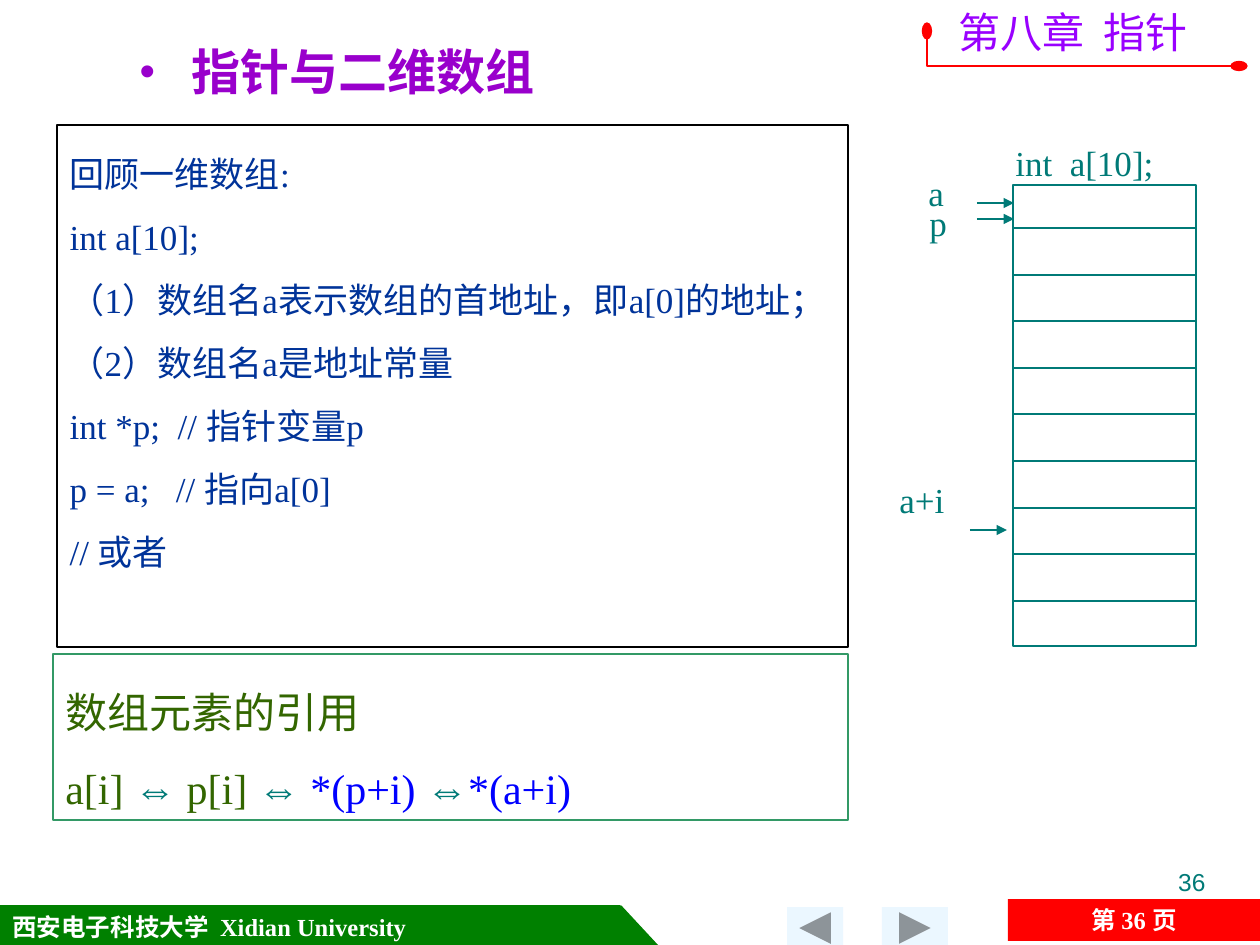
from lxml import etree
from pptx import Presentation
from pptx import util as u
from pptx.dml.color import RGBColor
from pptx.enum import shapes, text
from pptx.oxml.ns import qn

SCALE = 914400 / 126
WHITE = RGBColor(0xFF, 0xFF, 0xFF)
BLACK = RGBColor(0, 0, 0)
GREEN = RGBColor(0, 0x80, 0)
RED = RGBColor(0xFF, 0, 0)
TEAL = RGBColor(0, 0x7A, 0x77)
NAVY = RGBColor(0, 0x33, 0x99)
BLUE = RGBColor(0, 0, 0xFF)
OLIVE = RGBColor(0x33, 0x66, 0)
SEA_GREEN = RGBColor(0x33, 0x99, 0x66)
PURPLE = RGBColor(0x99, 0, 0xCC)
VIOLET = RGBColor(0x99, 0, 0xFF)
PALE_BLUE = RGBColor(0xEB, 0xF7, 0xFF)
SERIF = "Times New Roman"
SANS = "Arial"
CJK = "Noto Sans CJK SC"

REVIEW_LINES = [
    "回顾一维数组:",
    "int a[10];",
    "（1）数组名a表示数组的首地址，即a[0]的地址；",
    "（2）数组名a是地址常量",
    "int *p;  // 指针变量p",
    "p = a;   // 指向a[0]",
    "// 或者",
]
REFERENCE_RUNS = [
    ("a[i] ", OLIVE), ("⇔", TEAL), (" p[i] ", OLIVE), ("⇔ ", TEAL),
    ("*(p+i) ", BLUE), ("⇔", TEAL), ("*(a+i)", BLUE),
]


def px(value):
    return u.Emu(round(value * SCALE))


def place(shape, left, top, width, height):
    shape.left, shape.top = px(left), px(top)
    shape.width, shape.height = px(width), px(height)


def format_run(run, size, color, font=SERIF, bold=False):
    run.font.size = u.Pt(size)
    run.font.name = font
    run.font.bold = bold
    run.font.color.rgb = color


def add_runs(paragraph, parts, size, font=SERIF, bold=False):
    for words, color in parts:
        run = paragraph.add_run()
        run.text = words
        format_run(run, size, color, font, bold)


def set_bullet(paragraph, margin, indent, color=None):
    properties = paragraph._p.get_or_add_pPr()
    properties.set("marL", str(px(margin)))
    properties.set("indent", str(px(indent)))
    if color is None:
        etree.SubElement(properties, qn("a:buNone"))
        return
    bullet_color = etree.SubElement(properties, qn("a:buClr"))
    etree.SubElement(bullet_color, qn("a:srgbClr"), val=str(color))
    etree.SubElement(properties, qn("a:buSzPct"), val="90000")
    etree.SubElement(properties, qn("a:buFont"), typeface=SANS)
    etree.SubElement(properties, qn("a:buChar"), char="•")


def set_line_end(shape, end, kind, width="med", length="med"):
    line = shape.line._get_or_add_ln()
    etree.SubElement(line, qn(f"a:{end}End"), type=kind, w=width, len=length)


def add_box(slide, kind, box, fill=None, line=None, weight=0.75):
    shape = slide.shapes.add_shape(kind, *map(px, box))
    shape.shadow.inherit = False
    if fill is None:
        shape.fill.background()
    else:
        shape.fill.solid()
        shape.fill.fore_color.rgb = fill
    if line is None:
        shape.line.fill.background()
    else:
        shape.line.color.rgb = line
        shape.line.width = u.Pt(weight)
    return shape


def add_label(slide, box, words, size, color, font=SERIF, align=text.PP_ALIGN.LEFT):
    label = slide.shapes.add_textbox(*map(px, box))
    paragraph = label.text_frame.paragraphs[0]
    paragraph.alignment = align
    add_runs(paragraph, [(words, color)], size, font)
    return label


def add_line(slide, left, right, y, arrow=False):
    line = slide.shapes.add_connector(
        shapes.MSO_CONNECTOR.STRAIGHT, px(left), px(y), px(right), px(y))
    line.line.color.rgb = TEAL
    line.line.width = u.Pt(0.75)
    if arrow:
        set_line_end(line, "tail", "triangle")
    etree.SubElement(line._element.spPr, qn("a:effectLst"))


def add_footer(slide):
    kind = shapes.MSO_SHAPE
    banner = add_box(slide, kind.RECTANGLE, (0, 906, 620, 42), GREEN, GREEN)
    banner.text_frame.vertical_anchor = text.MSO_ANCHOR.MIDDLE
    school = banner.text_frame.paragraphs[0]
    school.alignment = text.PP_ALIGN.LEFT
    add_runs(school, [("西安电子科技大学  Xidian University", WHITE)], 14, bold=True)
    add_box(slide, kind.RIGHT_TRIANGLE, (621, 906, 39, 42), GREEN, GREEN)

    button = kind.ACTION_BUTTON_FORWARD_OR_NEXT
    add_box(slide, button, (882, 907, 66, 42), PALE_BLUE)
    add_box(slide, button, (787, 907, 56, 42), PALE_BLUE).rotation = 180

    page = add_box(slide, kind.RECTANGLE, (1008, 899, 252, 42), RED)
    page.text_frame.vertical_anchor = text.MSO_ANCHOR.MIDDLE
    paragraph = page.text_frame.paragraphs[0]
    paragraph.alignment = text.PP_ALIGN.CENTER
    for words, font in (("第 ", CJK), ("36 ", SERIF), ("页", CJK)):
        add_runs(paragraph, [(words, WHITE)], 14, font, True)
    add_label(slide, (903, 861, 315, 66), "36", 14, TEAL, SANS, text.PP_ALIGN.RIGHT)


def add_chapter(slide):
    add_label(slide, (946, 0, 277, 63), "第八章  指针", 24, VIOLET, CJK)
    builder = slide.shapes.build_freeform(927, 31, SCALE)
    builder.add_line_segments([(927, 66), (1239, 66)], close=False)
    corner = builder.convert_to_shape()
    corner.shadow.inherit = False
    corner.fill.background()
    corner.line.color.rgb = RED
    corner.line.width = u.Pt(1.5)
    for end in ("head", "tail"):
        set_line_end(corner, end, "oval", length="lg")


def fill_title(title):
    place(title, 64, 35, 903, 89)
    frame = title.text_frame
    frame.text = "指针与二维数组"
    frame.auto_size = text.MSO_AUTO_SIZE.NONE
    frame.vertical_anchor = text.MSO_ANCHOR.TOP
    paragraph = frame.paragraphs[0]
    paragraph.alignment = text.PP_ALIGN.LEFT
    set_bullet(paragraph, 115, -52, PURPLE)
    format_run(paragraph.runs[0], 28, PURPLE, SANS, True)


def fill_review(body):
    place(body, 57, 125, 791, 522)
    body.line.color.rgb = BLACK
    body.line.width = u.Pt(1)
    frame = body.text_frame
    frame.text = "\n".join(REVIEW_LINES)
    frame.auto_size = text.MSO_AUTO_SIZE.NONE
    for paragraph in frame.paragraphs:
        set_bullet(paragraph, 0, 0)
        paragraph.line_spacing = 1.5
        paragraph.space_before = u.Pt(0)
        format_run(paragraph.runs[0], 20, NAVY)


def add_reference(slide):
    box = add_box(slide, shapes.MSO_SHAPE.RECTANGLE, (53, 654, 795, 166),
                  WHITE, SEA_GREEN, 1.5)
    frame = box.text_frame
    frame.vertical_anchor = text.MSO_ANCHOR.MIDDLE
    for parts in ([("数组元素的引用", OLIVE)], REFERENCE_RUNS):
        paragraph = frame.paragraphs[0] if not frame.text else frame.add_paragraph()
        paragraph.alignment = text.PP_ALIGN.LEFT
        paragraph.line_spacing = 1.5
        add_runs(paragraph, parts, 24)


def add_memory(slide):
    left, right, top, bottom, rows = 1013, 1196, 185, 646, 10
    add_box(slide, shapes.MSO_SHAPE.RECTANGLE,
            (left, top, right - left, bottom - top), line=TEAL)
    first, pitch = 228, 46.6
    for row in range(rows - 1):
        add_line(slide, left, right, round(first + row * pitch))
    for start, y in ((977, 203), (977, 219), (970, 530)):
        add_line(slide, start, start + 37, y, arrow=True)
    for words, x, y, width in (("int  a[10];", 1003, 135, 164), ("a", 916, 165, 42),
                               ("p", 917, 195, 43), ("a+i", 887, 472, 71)):
        add_label(slide, (x, y, width, 55), words, 20, TEAL)


def main():
    presentation = Presentation()
    presentation.slide_width, presentation.slide_height = px(1260), px(945)
    slide = presentation.slides.add_slide(presentation.slide_layouts[1])
    fill_title(slide.shapes.title)
    fill_review(slide.placeholders[1])
    add_footer(slide)
    add_chapter(slide)
    add_reference(slide)
    add_memory(slide)
    presentation.save("out.pptx")


if __name__ == "__main__":
    main()
